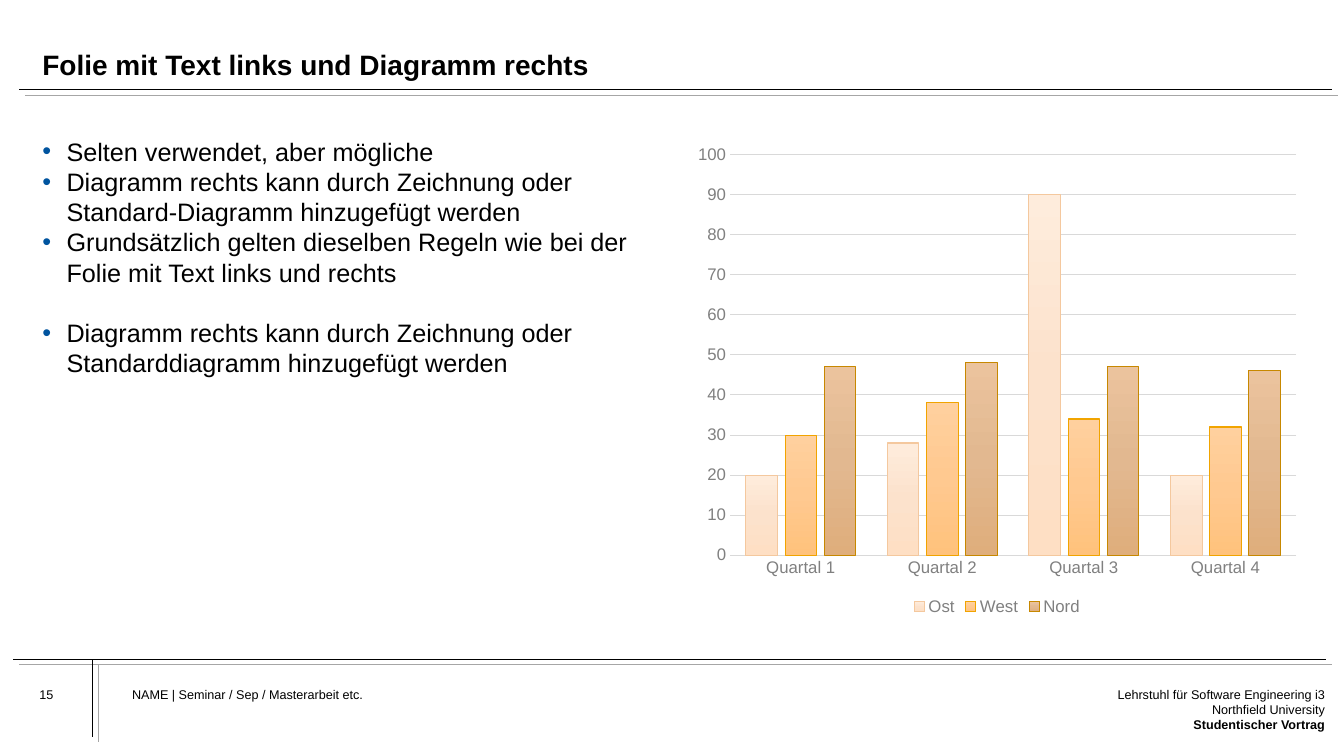
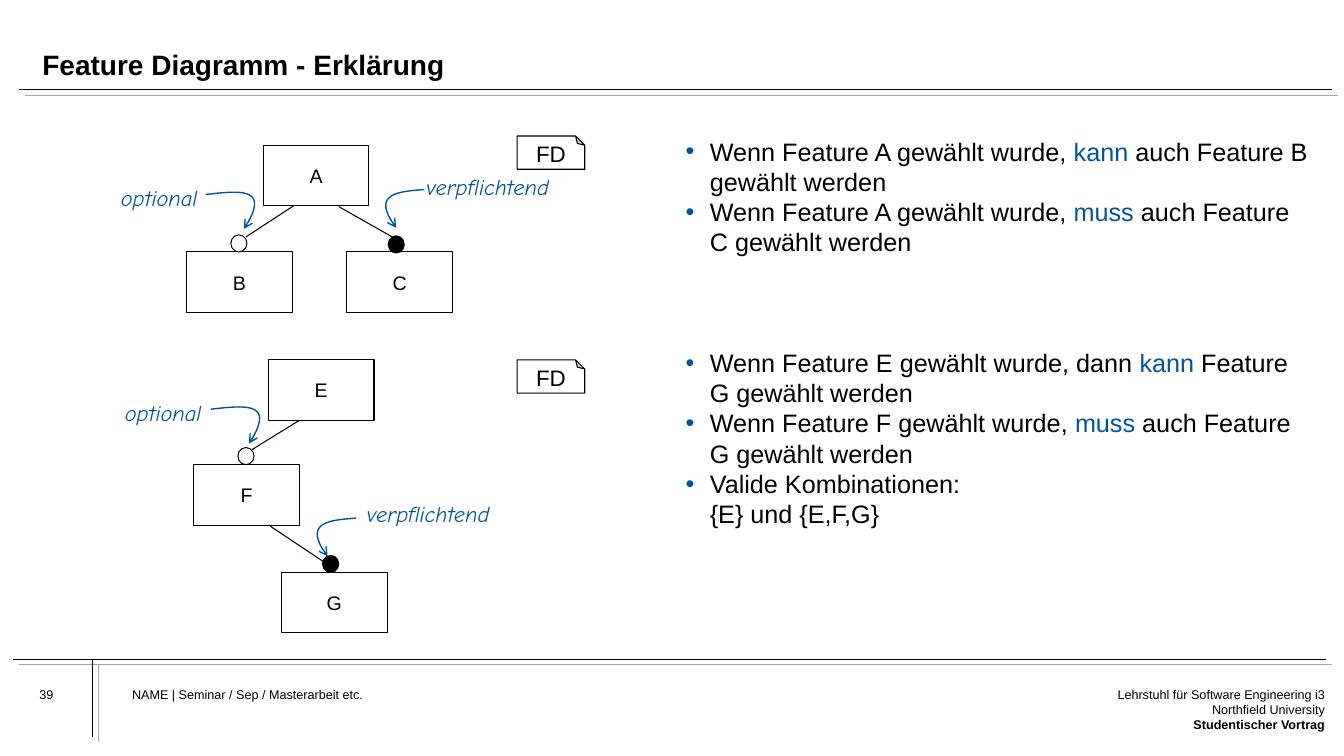
import pptx
import pptx.util
import pptx.chart.data
import pptx.dml.color
import pptx.enum.chart
import pptx.enum.shapes
import pptx.enum.text
import pptx.oxml.ns
from lxml import etree

Inches, Pt = pptx.util.Inches, pptx.util.Pt
qn = pptx.oxml.ns.qn
KIND = pptx.enum.shapes.MSO_SHAPE
ALIGN = pptx.enum.text.PP_ALIGN
ANCHOR = pptx.enum.text.MSO_ANCHOR

# Shared style
FONT, HAND = "Arial", "Comic Neue"
BLACK, WHITE, BLUE = "000000", "FFFFFF", "00549F"
SHADE, GRID, LABEL = "A6A6A6", "D9D9D9", "808080"
LEFT, RIGHT = (0.42, 1.35, 6.18, 4.8), (6.8, 1.35, 6.18, 4.8)


def paint(hue):
    return pptx.dml.color.RGBColor.from_string(hue)


def style(font, size, hue=BLACK, bold=False, face=FONT, slant=False):
    font.name, font.size = face, Pt(size)
    font.bold, font.italic = bold, slant
    font.color.rgb = paint(hue)


def add_run(para, words, size, **look):
    run = para.add_run()
    run.text = words
    style(run.font, size, **look)


def add_text(slide, box, lines, size, align=ALIGN.LEFT, anchor=ANCHOR.TOP,
             inset=0, **look):
    """Write each line as one paragraph and return the frame."""
    frame = slide.shapes.add_textbox(*map(Inches, box)).text_frame
    frame.word_wrap = True
    frame.vertical_anchor = anchor
    frame.margin_left = frame.margin_right = Inches(inset)
    frame.margin_top = frame.margin_bottom = Inches(inset / 2)
    for i, words in enumerate(lines):
        para = frame.paragraphs[0] if i == 0 else frame.add_paragraph()
        para.alignment = align
        add_run(para, words, size, **look)
    return frame


def add_line(slide, start, end, hue=BLACK, width=0.75):
    line = slide.shapes.add_connector(
        pptx.enum.shapes.MSO_CONNECTOR.STRAIGHT, *map(Inches, start + end))
    line.line.color.rgb = paint(hue)
    line.line.width = Pt(width)
    etree.SubElement(line._element.spPr, qn("a:effectLst"))


def add_shape(slide, kind, box, fill=WHITE):
    shape = slide.shapes.add_shape(kind, *map(Inches, box))
    shape.shadow.inherit = False
    shape.fill.solid()
    shape.fill.fore_color.rgb = paint(fill)
    shape.line.color.rgb = paint(BLACK)
    shape.line.width = Pt(0.75)
    return shape


def add_word(shape, words, size):
    """Centre one word in a shape."""
    frame = shape.text_frame
    frame.word_wrap = False
    frame.vertical_anchor = ANCHOR.MIDDLE
    para = frame.paragraphs[0]
    para.alignment = ALIGN.CENTER
    add_run(para, words, size)
    return para


# Frame of every slide: title, double rules, footer
def add_frame(deck, title, number):
    slide = deck.slides.add_slide(deck.slide_layouts[6])
    rules = [(0.19, 0.89, 13.02, 0), (0.13, 6.54, 13.02, 0),
             (0.92, 6.54, 0, 0.77)]
    for x, y, wide, high in rules:
        for shift, hue in ((0, BLACK), (0.06, SHADE)):
            left, top = x + shift, y + shift * 0.9
            add_line(slide, (left, top), (left + wide, top + high), hue, 0.5)
    head = add_text(slide, (0.42, 0.22, 12.56, 0.59), [title], 20,
                    anchor=ANCHOR.BOTTOM, bold=True)
    head.paragraphs[0].line_spacing = 0.9
    add_text(slide, (0.39, 6.81, 0.8, 0.43), [number], 9)
    add_text(slide, (1.31, 6.81, 7.66, 0.69),
             ["NAME | Seminar / Sep / Masterarbeit etc."], 9)
    chair = add_text(slide, (10.99, 6.81, 2.15, 0.69),
                     ["Lehrstuhl für Software Engineering i3",
                      "Northfield University", "Studentischer Vortrag"],
                     9, ALIGN.RIGHT)
    chair.paragraphs[2].runs[0].font.bold = True
    return slide


# Bullet list: items are (space before, runs); "*" marks a blue run
def add_list(slide, box, items):
    frame = add_text(slide, box, [], 18)
    for i, (gap, runs) in enumerate(items):
        para = frame.paragraphs[0] if i == 0 else frame.add_paragraph()
        para.space_before = Pt(gap)
        props = para._p.get_or_add_pPr()
        props.set("marL", str(Inches(0.24)))
        props.set("indent", str(-Inches(0.24)))
        tint = etree.SubElement(props, qn("a:buClr"))
        etree.SubElement(tint, qn("a:srgbClr"), val=BLUE)
        etree.SubElement(props, qn("a:buFont"), typeface=FONT)
        etree.SubElement(props, qn("a:buChar"), char="•")
        for words in runs:
            if words == "\n":
                para.add_line_break()
            else:
                hue = BLUE if words.startswith("*") else BLACK
                add_run(para, words.lstrip("*"), 18, hue=hue)


# Column chart
def add_bars(slide, box, cats, rows):
    data = pptx.chart.data.CategoryChartData()
    data.categories = cats
    for name, vals, _, _ in rows:
        data.add_series(name, vals)
    enum = pptx.enum.chart
    chart = slide.shapes.add_chart(
        enum.XL_CHART_TYPE.COLUMN_CLUSTERED, *map(Inches, box), data).chart
    style(chart.font, 10)
    chart.has_title = False
    chart.has_legend = True
    chart.legend.position = enum.XL_LEGEND_POSITION.BOTTOM
    chart.legend.include_in_layout = False
    style(chart.legend.font, 12, LABEL)

    for axis in (chart.category_axis, chart.value_axis):
        axis.major_tick_mark = axis.minor_tick_mark = enum.XL_TICK_MARK.NONE
        style(axis.tick_labels.font, 12, LABEL)
    values = chart.value_axis
    values.minimum_scale, values.maximum_scale = 0, 100
    values.major_unit = 10
    values.format.line.fill.background()
    for part in (chart.category_axis, values.major_gridlines):
        part.format.line.color.rgb = paint(GRID)
        part.format.line.width = Pt(0.75)

    plot = chart.plots[0]
    plot.gap_width, plot.overlap = 100, -24
    plot.vary_by_categories = False
    for bars, (_, _, hues, edge) in zip(plot.series, rows):
        bars.format.fill.gradient()
        bars.format.fill.gradient_angle = 270
        stops = bars._element.find(".//" + qn("a:gsLst"))
        for stop in list(stops):
            stops.remove(stop)
        for i, hue in enumerate(hues):
            stop = etree.SubElement(stops, qn("a:gs"), pos=str(i * 50000))
            etree.SubElement(stop, qn("a:srgbClr"), val=hue)
        bars.format.line.color.rgb = paint(edge)
        bars.format.line.width = Pt(0.75)


# Curved arrow: offsets of both control points and the tip from the start
BENDS = {"optional": [(0.34, -0.04), (0.65, -0.07), (0.38, 0.34)],
         "verpflichtend": [(-0.27, 0.02), (-0.53, 0.05), (-0.28, 0.38)]}


def add_curve(slide, x, y, bend):
    pen = slide.shapes.build_freeform(Inches(x), Inches(y))
    pen.add_line_segments([(Inches(x + dx), Inches(y + dy))
                           for dx, dy in bend], close=False)
    curve = pen.convert_to_shape()
    steps = list(curve._element.iter(qn("a:lnTo")))
    outline = steps[0].getparent()
    cubic = etree.SubElement(outline, qn("a:cubicBezTo"))
    for step in steps:
        cubic.append(step[0])
        outline.remove(step)
    curve.shadow.inherit = False
    curve.fill.background()
    curve.line.color.rgb = paint(BLUE)
    curve.line.width = Pt(1)
    etree.SubElement(curve._element.spPr.find(qn("a:ln")), qn("a:tailEnd"),
                     type="arrow")


# Tag with a folded top corner
def add_tag(slide, x, y):
    tag = add_shape(slide, KIND.FOLDED_CORNER, (x, y, 0.67, 0.33))
    fold = tag._element.find(".//" + qn("a:avLst"))
    etree.SubElement(fold, qn("a:gd"), name="adj", fmla="val 27600")
    tag._element.find(".//" + qn("a:xfrm")).set("flipV", "1")
    add_word(tag, "FD", 16).line_spacing = 0.7
    tag._element.find(".//" + qn("a:bodyPr")).set("rot", "10800000")


# Feature tree: all places count from its top left corner
def add_tree(slide, x, y, tree):
    for x1, y1, x2, y2 in tree["links"]:
        add_line(slide, (x + x1, y + y1), (x + x2, y + y2))
    for name, dx, dy in tree["nodes"]:
        node = add_shape(slide, KIND.RECTANGLE, (x + dx, y + dy, 1.05, 0.6))
        add_word(node, name, 14)
    for hue, dx, dy in tree["dots"]:
        add_shape(slide, KIND.OVAL, (x + dx, y + dy, 0.16, 0.17), hue)
    for word, dx, dy, cx, cy in tree["notes"]:
        add_text(slide, (x + dx, y + dy, 1.61, 0.37), [word], 16, inset=0.1,
                 hue=BLUE, face=HAND, slant=True)
        add_curve(slide, x + cx, y + cy, BENDS[word])
    add_tag(slide, x + 4.03, y)


FORK = {
    "links": [(1.83, 0.68, 1.34, 1), (2.26, 0.7, 2.79, 1)],
    "nodes": [("A", 1.51, 0.09), ("B", 0.75, 1.15), ("C", 2.34, 1.15)],
    "dots": [(WHITE, 1.19, 0.98), (BLACK, 2.75, 0.99)],
    "notes": [("optional", 0, 0.43, 0.94, 0.58),
              ("verpflichtend", 3.03, 0.32, 3.11, 0.53)],
}
CHAIN = {
    "links": [(1.87, 0.6, 1.4, 0.89), (1.58, 1.65, 2.15, 2.03)],
    "nodes": [("E", 1.56, 0), ("F", 0.82, 1.04), ("G", 1.69, 2.11)],
    "dots": [(WHITE, 1.26, 0.87), (BLACK, 2.1, 1.94)],
    "notes": [("optional", 0.04, 0.34, 0.99, 0.49),
              ("verpflichtend", 2.44, 1.34, 2.43, 1.57)],
}


def chart_slide(deck):
    slide = add_frame(deck, "Folie mit Text links und Diagramm rechts", "15")
    add_list(slide, LEFT, [
        (0, ["Selten verwendet, aber mögliche"]),
        (0, ["Diagramm rechts kann durch Zeichnung oder "
             "Standard-Diagramm hinzugefügt werden"]),
        (0, ["Grundsätzlich gelten dieselben Regeln wie bei der "
             "Folie mit Text links und rechts"]),
        (21.5, ["Diagramm rechts kann durch Zeichnung oder "
                "Standarddiagramm hinzugefügt werden"])])
    add_bars(slide, RIGHT, [f"Quartal {i}" for i in range(1, 5)], [
        ("Ost", (20, 28, 90, 20), ("FEECDC", "FCE2CC", "FEDFC4"), "F4C89E"),
        ("West", (30, 38, 34, 32), ("FFD09E", "FFC990", "FFC27C"), "F1A400"),
        ("Nord", (47, 48, 47, 46), ("EBC39D", "E2B890", "DFAE7C"), "C78800")])


def tree_slide(deck):
    slide = add_frame(deck, "Feature Diagramm - Erklärung", "39")
    add_list(slide, RIGHT, [
        (0, ["Wenn Feature A gewählt wurde, ", "*kann",
             " auch Feature B gewählt werden"]),
        (0, ["Wenn Feature A gewählt wurde, ", "*muss",
             " auch Feature C gewählt werden"]),
        (64.5, ["Wenn Feature E gewählt wurde, dann ", "*kann",
                " Feature G gewählt werden"]),
        (0, ["Wenn Feature F gewählt wurde, ", "*muss",
             " auch Feature G gewählt werden"]),
        (0, ["Valide Kombinationen:", "\n", "{E} und {E,F,G}"])])
    add_tree(slide, 1.1, 1.35, FORK)
    add_tree(slide, 1.1, 3.57, CHAIN)


def main():
    deck = pptx.Presentation()
    deck.slide_width, deck.slide_height = Inches(13.33), Inches(7.5)
    chart_slide(deck)
    tree_slide(deck)
    deck.save("out.pptx")


if __name__ == "__main__":
    main()
